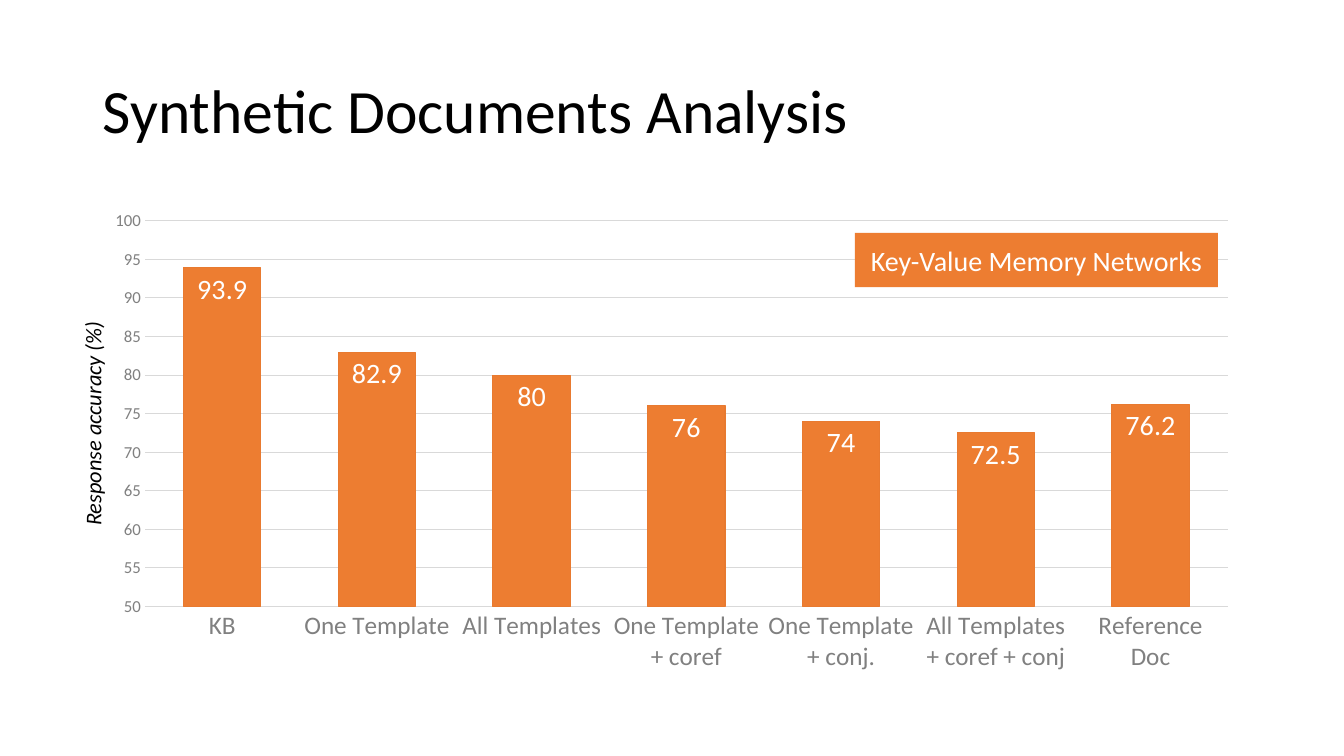
import pptx
import pptx.chart.data
import pptx.dml.color
import pptx.enum.chart
import pptx.enum.shapes
import pptx.enum.text
import pptx.util
from dataclasses import dataclass
from lxml import etree
from pptx.util import Inches


@dataclass(frozen=True)
class Theme:
    font: str = "Calibri"
    black: str = "000000"
    white: str = "FFFFFF"
    gray: str = "808080"
    grid: str = "D9D9D9"
    orange: str = "ED7D31"
    bar_edge: str = "E87A30"
    title: int = 44
    label: int = 20
    category: int = 18
    caption: int = 16
    tick: int = 12
    chart: int = 10
    hairline: float = 0.75


theme = Theme()
rgb = pptx.dml.color.RGBColor.from_string


def style_font(font, size, color, italic=None):
    font.name, font.size, font.italic = theme.font, pptx.util.Pt(size), italic
    font.color.rgb = rgb(color)


def style_line(line, color):
    line.color.rgb = rgb(color)
    line.width = pptx.util.Pt(theme.hairline)


deck = pptx.Presentation()
deck.slide_width, deck.slide_height = Inches(13.33), Inches(7.5)
slide = deck.slides.add_slide(deck.slide_layouts[6])

# Title
heading = slide.shapes.add_textbox(Inches(0.92), Inches(0.4), Inches(11.5), Inches(1.45))
heading.text_frame.word_wrap = True
heading.text_frame.vertical_anchor = pptx.enum.text.MSO_ANCHOR.MIDDLE
heading.text_frame.text = "Synthetic Documents Analysis"
heading.text_frame.paragraphs[0].line_spacing = 0.9
style_font(heading.text_frame.paragraphs[0].runs[0].font, theme.title, theme.black)

# Accuracy by document type
accuracy = {
    "KB": 93.9,
    "One Template": 82.9,
    "All Templates": 80,
    "One Template + coref": 76,
    "One Template + conj.": 74,
    "All Templates + coref + conj": 72.5,
    "Reference Doc": 76.2,
}
accuracy_data = pptx.chart.data.CategoryChartData()
accuracy_data.categories = list(accuracy)
accuracy_data.add_series("Series 1", list(accuracy.values()))
chart = slide.shapes.add_chart(
    pptx.enum.chart.XL_CHART_TYPE.COLUMN_CLUSTERED,
    Inches(0.92), Inches(2), Inches(11.5), Inches(4.76), accuracy_data,
).chart
chart.has_legend = chart.has_title = False
style_font(chart.font, theme.chart, theme.black)

# Plot area as fractions of the chart frame
plot_area = chart.plots[0]._element.getparent()
namespace = etree.QName(plot_area).namespace
for old_layout in plot_area.findall(f"{{{namespace}}}layout"):
    plot_area.remove(old_layout)
layout = etree.Element(f"{{{namespace}}}layout")
manual = etree.SubElement(layout, f"{{{namespace}}}manualLayout")
for tag, value in [("layoutTarget", "inner"), ("xMode", "edge"), ("yMode", "edge"),
                   ("x", "0.045"), ("y", "0.04"), ("w", "0.934"), ("h", "0.804")]:
    etree.SubElement(manual, f"{{{namespace}}}{tag}", val=value)
plot_area.insert(0, layout)

# Bars and their values
bars = chart.plots[0]
bars.gap_width, bars.overlap, bars.vary_by_categories = 100, -24, False
series = bars.series[0]
series.format.fill.solid()
series.format.fill.fore_color.rgb = rgb(theme.orange)
style_line(series.format.line, theme.bar_edge)
series.data_labels.show_value = True
series.data_labels.position = pptx.enum.chart.XL_LABEL_POSITION.INSIDE_END
style_font(series.data_labels.font, theme.label, theme.white)

# Axes
for axis, size in [(chart.category_axis, theme.category), (chart.value_axis, theme.tick)]:
    axis.major_tick_mark = axis.minor_tick_mark = pptx.enum.chart.XL_TICK_MARK.NONE
    style_font(axis.tick_labels.font, size, theme.gray)
style_line(chart.category_axis.format.line, theme.grid)
percent = chart.value_axis
percent.minimum_scale, percent.maximum_scale, percent.major_unit = 50, 100, 5
percent.format.line.fill.background()
percent.has_major_gridlines = True
style_line(percent.major_gridlines.format.line, theme.grid)

# Model name
model = slide.shapes.add_shape(
    pptx.enum.shapes.MSO_SHAPE.RECTANGLE, Inches(8.48), Inches(2.31), Inches(3.6), Inches(0.54))
model.shadow.inherit = False
model.fill.solid()
model.fill.fore_color.rgb = rgb(theme.orange)
model.line.fill.background()
model.text_frame.text = "Key-Value Memory Networks"
model.text_frame.vertical_anchor = pptx.enum.text.MSO_ANCHOR.MIDDLE
model.text_frame.paragraphs[0].alignment = pptx.enum.text.PP_ALIGN.CENTER
style_font(model.text_frame.paragraphs[0].runs[0].font, theme.label, theme.white)

# Vertical axis caption
caption = slide.shapes.add_textbox(Inches(-0.38), Inches(3.83), Inches(2.6), Inches(0.37))
caption.rotation = 270
caption.text_frame.word_wrap = True
caption.text_frame.auto_size = pptx.enum.text.MSO_AUTO_SIZE.SHAPE_TO_FIT_TEXT
caption.text_frame.text = "Response accuracy (%)"
style_font(caption.text_frame.paragraphs[0].runs[0].font, theme.caption, theme.black, italic=True)

deck.save("out.pptx")
